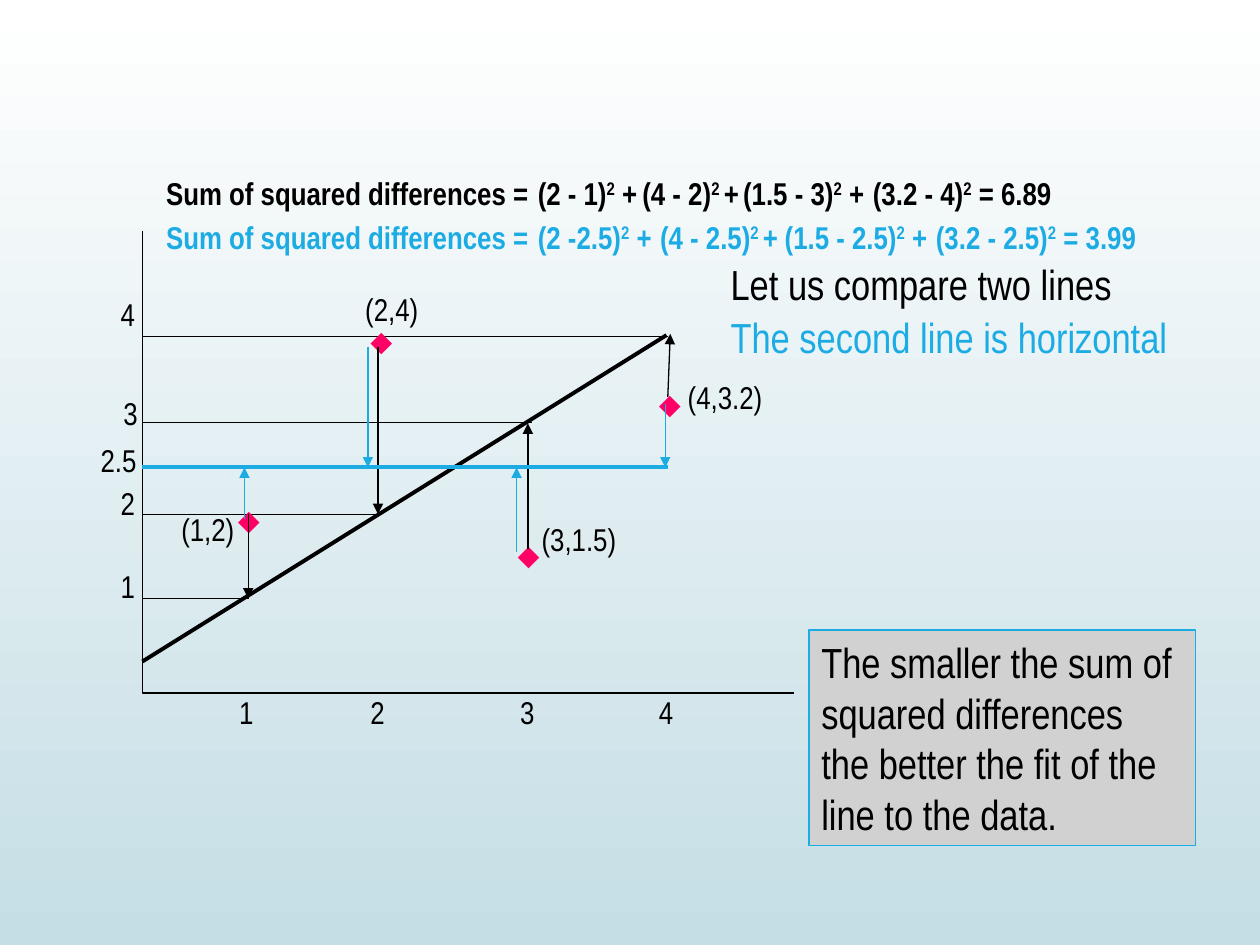
import pptx
import pptx.util
import pptx.dml.color
import pptx.enum.dml
import pptx.enum.shapes
import pptx.enum.text
import pptx.oxml.ns
import lxml.etree

Inches = pptx.util.Inches
Pt = pptx.util.Pt
COLORS = {name: pptx.dml.color.RGBColor.from_string(value) for name, value in {
    "black": "000000", "blue": "1CACE3", "pink": "FF0066",
    "gray": "D1D1D1", "top": "FFFFFF", "bottom": "C5DEE5"}.items()}

prs = pptx.Presentation()
prs.slide_width, prs.slide_height = Inches(10), Inches(7.5)
s = prs.slides.add_slide(prs.slide_layouts[6])


def add_text(text, x, y, w, h=0.4, size=18, color="black", bold=False, font="Arial Narrow"):
    """Add a one-line text box; the pieces between | marks are superscript."""
    tf = s.shapes.add_textbox(Inches(x), Inches(y), Inches(w), Inches(h)).text_frame
    tf.word_wrap = False
    for i, piece in enumerate(text.split("|")):
        r = tf.paragraphs[0].add_run()
        r.text = piece
        r.font.name, r.font.size, r.font.bold = font, Pt(size), bold
        r.font.color.rgb = COLORS[color]
        if i % 2:
            r.font._element.set("baseline", "30000")


def add_line(x1, y1, x2, y2, color="black", width=0.75, arrow=False):
    """Add a straight line, with an arrowhead at its end if asked."""
    sp = s.shapes.add_connector(pptx.enum.shapes.MSO_CONNECTOR.STRAIGHT,
                                Inches(x1), Inches(y1), Inches(x2), Inches(y2))
    sp.line.color.rgb = COLORS[color]
    sp.line.width = Pt(width)
    if arrow:
        ln = sp.line._get_or_add_ln()
        lxml.etree.SubElement(ln, pptx.oxml.ns.qn("a:tailEnd"), type="triangle")
    lxml.etree.SubElement(sp._element.spPr, pptx.oxml.ns.qn("a:effectLst"))
    return sp


# Background
fill = s.background.fill
fill.gradient()
fill.gradient_angle = 270
for stop, name, position in zip(fill.gradient_stops, ("top", "bottom"), (0, 1)):
    stop.color.rgb = COLORS[name]
    stop.position = position

# Dotted guides from the y axis to the sloping line
AXIS_X = 1.13
for x, y in ((1.97, 4.75), (3, 4.08), (4.22, 3.35), (5.3, 2.67)):
    guide = add_line(x, y, AXIS_X, y, width=0.25)
    guide.line.dash_style = pptx.enum.dml.MSO_LINE.ROUND_DOT

# Axes
fb = s.shapes.build_freeform(Inches(AXIS_X), Inches(1.83))
fb.add_line_segments([(Inches(AXIS_X), Inches(5.5)), (Inches(6.3), Inches(5.5))], close=False)
axes = fb.convert_to_shape()
axes.shadow.inherit = False
axes.fill.background()
axes.line.color.rgb = COLORS["black"]
axes.line.width = Pt(0.75)

# Axis labels
for text, x in (("1", 1.8), ("2", 2.84), ("3", 4.03), ("4", 5.13)):
    add_text(text, x, 5.45, 0.32)
for text, x, y, w in (("1", 0.86, 4.45, 0.32), ("2", 0.86, 3.79, 0.32),
                      ("2.5", 0.7, 3.45, 0.49), ("3", 0.88, 3.08, 0.32),
                      ("4", 0.86, 2.29, 0.32)):
    add_text(text, x, y, w)

# Data points and their labels
for x, y in ((1.79, 3.92), (2.84, 2.5), (4.01, 4.2), (5.13, 3)):
    add_text("⬥", x, y, 0.35, color="pink", font="Arial")
for text, x, y, w in (("(1,2)", 1.34, 4, 0.62), ("(2,4)", 2.8, 2.25, 0.62),
                      ("(3,1.5)", 4.2, 4.08, 0.79), ("(4,3.2)", 5.36, 2.95, 0.79)):
    add_text(text, x, y, w)

# Sloping line and the differences from it
add_line(AXIS_X, 5.25, 5.29, 2.66, width=2.25)
for ends in ((1.97, 4.08, 1.97, 4.75), (3, 2.75, 3, 4.08),
             (4.19, 4.36, 4.19, 3.36), (5.3, 3.15, 5.32, 2.65)):
    add_line(*ends, arrow=True)

# Horizontal line and the differences from it
LEVEL_Y = 3.71
add_line(AXIS_X, LEVEL_Y, 5.3, LEVEL_Y, "blue", 2.25)
for x, y in ((1.94, 4.12), (2.92, 2.75), (4.1, 4.38), (5.28, 3.21)):
    add_line(x, y, x, LEVEL_Y, "blue", arrow=True)

# Sums of squared differences
sums = (
    (1.33, "black", (("(2 - 1)|2| +", 4.17, 1), ("(4 - 2)|2 |+", 5, 0.98),
                     ("(1.5 - 3)|2| +", 5.8, 1.17), ("(3.2 - 4)|2| = 6.89", 6.83, 1.63))),
    (1.68, "blue", (("(2 -2.5)|2| +", 4.17, 1.11), ("(4 - 2.5)|2 |+", 5.14, 1.15),
                    ("(1.5 - 2.5)|2| +", 6.13, 1.34), ("(3.2 - 2.5)|2| = 3.99", 7.33, 1.8))),
)
for y, color, terms in sums:
    for text, x, w in (("Sum of squared differences =", 1.22, 3.08), *terms):
        add_text(text, x, y, w, color=color, bold=True)

# Captions
add_text("Let us compare two lines", 5.7, 2, 3.23, 0.5, 24)
add_text("The second line is horizontal", 5.7, 2.42, 3.67, 0.5, 24, "blue")

# Conclusion box
sp = s.shapes.add_shape(pptx.enum.shapes.MSO_SHAPE.RECTANGLE,
                        Inches(6.42), Inches(5), Inches(3.07), Inches(1.71))
sp.shadow.inherit = False
sp.fill.solid()
sp.fill.fore_color.rgb = COLORS["gray"]
sp.line.color.rgb = COLORS["blue"]
sp.line.width = Pt(0.75)
tf = sp.text_frame
tf.word_wrap = False
tf.text = ("The smaller the sum of\nsquared differences\n"
           "the better the fit of the\nline to the data.")
for p in tf.paragraphs:
    p.alignment = pptx.enum.text.PP_ALIGN.LEFT
    font = p.runs[0].font
    font.name, font.size = "Arial Narrow", Pt(24)
    font.color.rgb = COLORS["black"]

prs.save("out.pptx")
